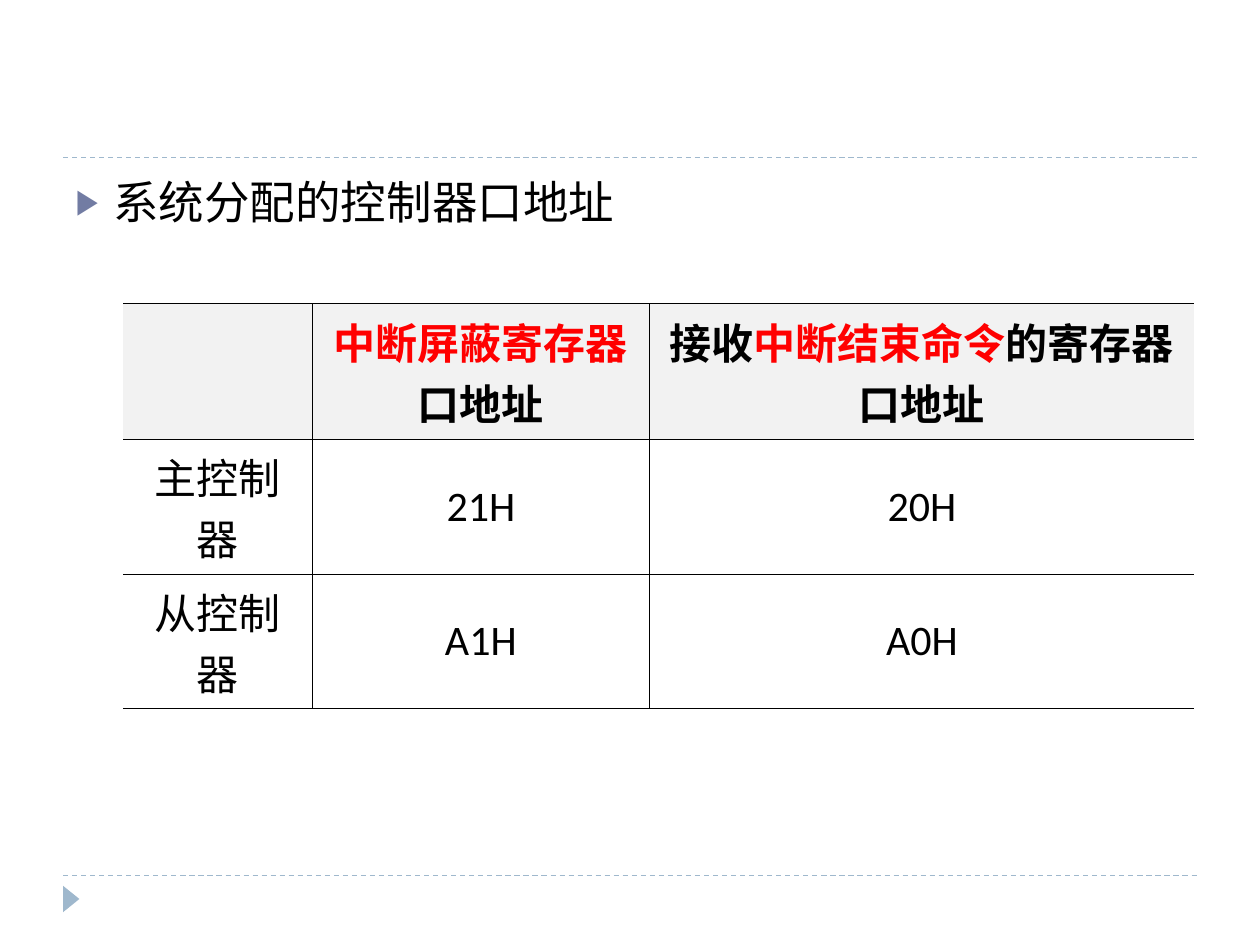
from dataclasses import dataclass
from lxml.etree import SubElement
from pptx import Presentation
from pptx.dml.color import RGBColor
from pptx.enum.dml import MSO_LINE
from pptx.enum.shapes import MSO_CONNECTOR, MSO_SHAPE
from pptx.enum.text import MSO_ANCHOR, PP_ALIGN
from pptx.oxml.ns import qn
from pptx.util import Inches, Pt


@dataclass(frozen=True)
class Theme:
    font: str = "Calibri"
    ink: str = "000000"
    red: str = "FF0000"
    rule: str = "9FB8CD"
    mark: str = "727CA3"
    head: str = "F2F2F2"
    body: int = 26
    cell: int = 24


T = Theme()
# Each cell holds lines; each line holds (text, colour) runs
ROWS = [
    [[],
     [[("中断屏蔽寄存器", T.red)], [("口地址", T.ink)]],
     [[("接收", T.ink), ("中断结束命令", T.red), ("的寄存器", T.ink)],
      [("口地址", T.ink)]]],
    [[[(text, T.ink)]] for text in ("主控制器", "21H", "20H")],
    [[[(text, T.ink)]] for text in ("从控制器", "A1H", "A0H")],
]


def style(run, size, color, bold=False):
    font = run.font
    font.name, font.size, font.bold = T.font, Pt(size), bold
    font.color.rgb = RGBColor.from_string(color)


def add_rule(slide, left, top, width):
    line = slide.shapes.add_connector(
        MSO_CONNECTOR.STRAIGHT, left, top, left + width, top)
    line.line.color.rgb = RGBColor.from_string(T.rule)
    line.line.width = Pt(0.75)
    line.line.dash_style = MSO_LINE.DASH
    SubElement(line._element.spPr, qn("a:effectLst"))


def add_frame(slide, left, top, width, height):
    # Dashed rules above and below the content
    add_rule(slide, left, top, width)
    add_rule(slide, left, top + height, width)
    # Corner marker, turned to point right
    wide, high = Inches(0.21), Inches(0.13)
    mark = slide.shapes.add_shape(
        MSO_SHAPE.ISOSCELES_TRIANGLE, left - Inches(0.04),
        top + height + Inches(0.12), wide, high)
    mark.rotation = 90
    mark.shadow.inherit = False
    mark.fill.solid()
    mark.fill.fore_color.rgb = RGBColor.from_string(T.rule)
    mark.line.fill.background()


def add_list(slide, left, top, width, height):
    body = slide.placeholders[1]
    body.left, body.top, body.width, body.height = left, top, width, height
    para = body.text_frame.paragraphs[0]
    para.text = "系统分配的控制器口地址"
    para.space_before = Pt(6)
    style(para.runs[0], T.body, T.ink)
    # Bullet and hanging indent
    props = para._p.get_or_add_pPr()
    indent = Inches(0.3)
    props.set("marL", str(indent))
    props.set("indent", str(-indent))
    color = SubElement(props, qn("a:buClr"))
    SubElement(color, qn("a:srgbClr"), val=T.mark)
    SubElement(props, qn("a:buSzPct"), val="76000")
    SubElement(props, qn("a:buChar"), char="▶")


def set_edges(cell, sides):
    props = cell._tc.get_or_add_tcPr()
    for spot, side in enumerate("LRTB"):
        edge = props.makeelement(qn(f"a:ln{side}"), {"w": str(Pt(0.45))})
        props.insert(spot, edge)
        if side in sides:
            fill = SubElement(edge, qn("a:solidFill"))
            SubElement(fill, qn("a:srgbClr"), val=T.ink)
        else:
            SubElement(edge, qn("a:noFill"))


def fill_cell(cell, lines, bold):
    cell.vertical_anchor = MSO_ANCHOR.MIDDLE
    frame = cell.text_frame
    for i, line in enumerate(lines):
        para = frame.add_paragraph() if i else frame.paragraphs[0]
        para.alignment = PP_ALIGN.CENTER
        for text, color in line:
            run = para.add_run()
            run.text = text
            style(run, T.cell, color, bold)


def add_grid(slide, left, top, width, height):
    cols, rows = (1.5, 2.68, 4.33), (1.08, 0.9, 0.9)
    table = slide.shapes.add_table(
        len(rows), len(cols), left, top, width, height).table
    table.first_row = table.horz_banding = False
    for col, share in zip(table.columns, cols):
        col.width = int(width * share / sum(cols))
    for row, share in zip(table.rows, rows):
        row.height = int(height * share / sum(rows))
    for r, row in enumerate(ROWS):
        for c, lines in enumerate(row):
            cell = table.cell(r, c)
            fill_cell(cell, lines, bold=r == 0)
            if r == 0:
                cell.fill.solid()
                cell.fill.fore_color.rgb = RGBColor.from_string(T.head)
            else:
                cell.fill.background()
            set_edges(cell, ("RTB", "LRTB", "LTB")[c])


def main():
    deck = Presentation()
    deck.slide_width, deck.slide_height = Inches(10), Inches(7.5)
    wide, high = deck.slide_width, deck.slide_height
    slide = deck.slides.add_slide(deck.slide_layouts[1])
    title = slide.shapes.title._element
    title.getparent().remove(title)
    edge, span = int(wide * 0.05), int(wide * 0.9)
    add_frame(slide, edge, Inches(1.25), span, int(high * 0.76))
    add_list(slide, edge, Inches(1.33), span, int(high * 0.72))
    add_grid(slide, Inches(0.98), Inches(2.41), int(wide * 0.85),
             Inches(2.88))
    deck.save("out.pptx")


if __name__ == "__main__":
    main()
